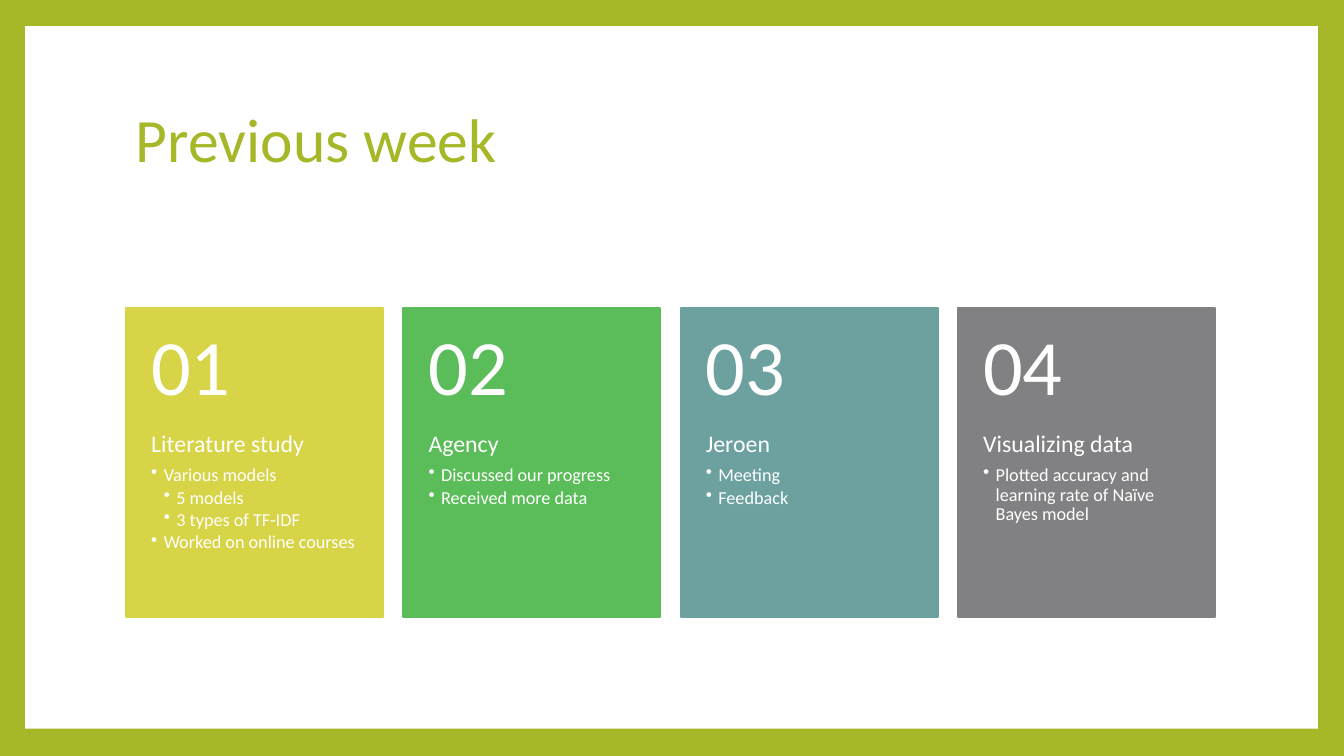
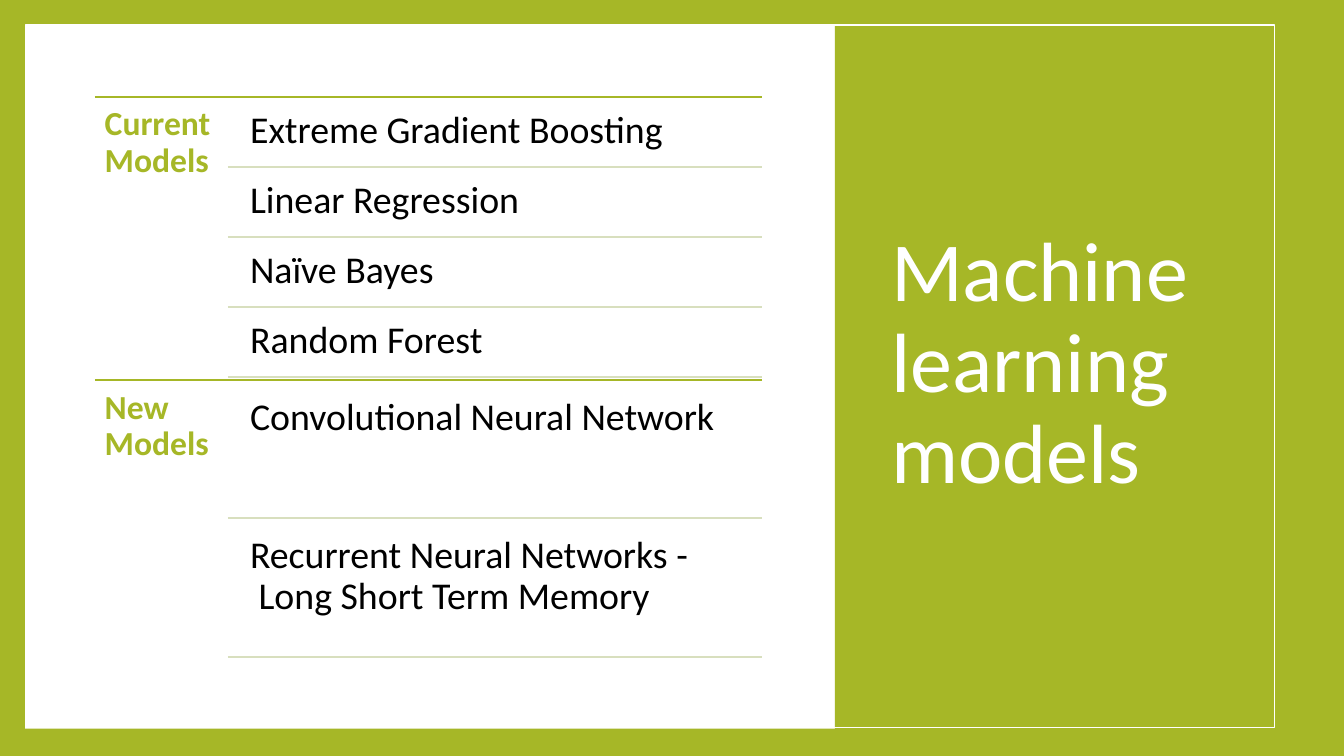
import pptx
import pptx.util
import pptx.dml.color
import pptx.enum.shapes
import pptx.enum.text
import pptx.oxml.ns
import lxml.etree

Inches = pptx.util.Inches
Pt = pptx.util.Pt
RGBColor = pptx.dml.color.RGBColor
MIDDLE = pptx.enum.text.MSO_ANCHOR.MIDDLE
TOP = pptx.enum.text.MSO_ANCHOR.TOP

# Shared look
GREEN = RGBColor(0xA6, 0xB7, 0x27)
WHITE = RGBColor(0xFF, 0xFF, 0xFF)
BLACK = RGBColor(0x00, 0x00, 0x00)
YELLOW = RGBColor(0xD7, 0xD4, 0x47)
LEAF = RGBColor(0x5A, 0xBD, 0x59)
TEAL = RGBColor(0x6C, 0xA1, 0xA0)
GREY = RGBColor(0x81, 0x81, 0x83)
PALE_GREEN = RGBColor(0xD8, 0xDF, 0xBE)
FONT = "Calibri"
WIDTH, HEIGHT = 13.33, 7.5
FRAME = (0.25, 0.26, 12.82, 6.97)
TITLE_INSETS = (0.1, 0.05, 0.1, 0.05)
BULLET_INDENT = 0.125


def add_box(slide, box, fill=None, line=None, line_width=1.5):
    shape = slide.shapes.add_shape(
        pptx.enum.shapes.MSO_SHAPE.RECTANGLE, *map(Inches, box))
    shape.shadow.inherit = False
    for part, color in ((shape.fill, fill), (shape.line.fill, line)):
        if color is None:
            part.background()
        else:
            part.solid()
            part.fore_color.rgb = color
    if line is not None:
        shape.line.width = Pt(line_width)


def add_text(slide, box, paragraphs, color, insets, anchor=TOP, bold=False):
    """Each paragraph is (text, size, space after as a share of size, bullet level)."""
    frame = slide.shapes.add_textbox(*map(Inches, box)).text_frame
    frame.word_wrap = True
    frame.vertical_anchor = anchor
    (frame.margin_left, frame.margin_top,
     frame.margin_right, frame.margin_bottom) = map(Inches, insets)
    for index, (text, size, after, level) in enumerate(paragraphs):
        paragraph = frame.add_paragraph() if index else frame.paragraphs[0]
        paragraph.line_spacing = 0.9
        paragraph.space_after = Pt(size * after)
        run = paragraph.add_run()
        run.text = text
        run.font.name = FONT
        run.font.size = Pt(size)
        run.font.bold = bold
        run.font.color.rgb = color
        if level:
            paragraph.level = level
            properties = paragraph._p.get_or_add_pPr()
            properties.set("marL", str(Inches(BULLET_INDENT * level)))
            properties.set("indent", str(-Inches(BULLET_INDENT)))
            bullet = lxml.etree.SubElement(properties, pptx.oxml.ns.qn("a:buChar"))
            bullet.set("char", "•")


presentation = pptx.Presentation()
presentation.slide_width = Inches(WIDTH)
presentation.slide_height = Inches(HEIGHT)

# Both slides: green ground with a white panel
slides = []
for number in range(2):
    slide = presentation.slides.add_slide(presentation.slide_layouts[6])
    slide.background.fill.solid()
    slide.background.fill.fore_color.rgb = GREEN
    add_box(slide, FRAME, fill=WHITE)
    slides.append(slide)
week_slide, models_slide = slides

# Slide 1: title and four numbered cards
add_text(week_slide, (1.25, 0.67, 10.8, 1.48),
         [("Previous week", 44, 0, 0)], GREEN, TITLE_INSETS, MIDDLE)

CARD_LEFT, CARD_TOP, CARD_PITCH = 1.25, 3.06, 2.75
CARD_WIDTH, CARD_HEIGHT = 2.55, 3.06
NUMBER_HEIGHT = CARD_HEIGHT * 0.4
cards = [
    (YELLOW, "Literature study", [
        (1, "Various models"), (2, "5 models"), (2, "3 types of TF-IDF"),
        (1, "Worked on online courses")]),
    (LEAF, "Agency", [
        (1, "Discussed our progress"), (1, "Received more data")]),
    (TEAL, "Jeroen", [(1, "Meeting"), (1, "Feedback")]),
    (GREY, "Visualizing data", [
        (1, "Plotted accuracy and learning rate of Naïve Bayes model")]),
]
for index, (color, heading, points) in enumerate(cards):
    left = CARD_LEFT + index * CARD_PITCH
    add_box(week_slide, (left, CARD_TOP, CARD_WIDTH, CARD_HEIGHT), color, color)
    add_text(week_slide,
             (left, CARD_TOP + NUMBER_HEIGHT, CARD_WIDTH, CARD_HEIGHT - NUMBER_HEIGHT),
             [(heading, 17, 0.35, 0)]
             + [(text, 13, 0.15, level) for level, text in points],
             WHITE, (0.25, 0, 0.25, 0.36))
    add_text(week_slide, (left, CARD_TOP, CARD_WIDTH, NUMBER_HEIGHT),
             [(f"{index + 1:02d}", 56, 0.35, 0)],
             WHITE, (0.25, 0.18, 0.25, 0.18), MIDDLE)

# Slide 2: green side panel with title
PANEL_LEFT = 8.28
add_box(models_slide, (PANEL_LEFT, 0, WIDTH - PANEL_LEFT, HEIGHT), fill=GREEN)
add_text(models_slide, (8.74, 0.67, 3.91, 5.91),
         [("Machine learning models", 60, 0, 0)], WHITE, TITLE_INSETS, MIDDLE)

# Two sections of equal height; gaps are a fixed share of the row height
LIST_LEFT, LIST_RIGHT, LIST_TOP = 0.94, 7.56, 0.96
LABEL_WIDTH, SECTION_HEIGHT, GAP_SHARE = 1.32, 2.81, 0.05
ROW_LEFT = 2.37
sections = [
    ("Current Models", ["Extreme Gradient Boosting", "Linear Regression",
                        "Naïve Bayes", "Random Forest"]),
    ("New Models", ["Convolutional Neural Network",
                    "Recurrent Neural Networks -\u00a0Long Short Term Memory"]),
]
rules = []
for index, (label, models) in enumerate(sections):
    top = LIST_TOP + index * SECTION_HEIGHT
    count = len(models)
    row_height = SECTION_HEIGHT / (count + (count + 1) * GAP_SHARE)
    pitch = row_height * (1 + GAP_SHARE)
    rules.append((LIST_LEFT, top, GREEN))
    add_text(models_slide, (LIST_LEFT, top, LABEL_WIDTH, SECTION_HEIGHT),
             [(label, 24, 0.35, 0)], GREEN, (0.1,) * 4, bold=True)
    for row, model in enumerate(models):
        row_top = top + row_height * GAP_SHARE + row * pitch
        add_text(models_slide, (ROW_LEFT, row_top, LIST_RIGHT - ROW_LEFT, row_height),
                 [(model, 27, 0.35, 0)], BLACK, (0.11,) * 4)
        rules.append((LIST_LEFT + LABEL_WIDTH, row_top + row_height, PALE_GREEN))

# Rules between the rows
for left, top, color in rules:
    connector = models_slide.shapes.add_connector(
        pptx.enum.shapes.MSO_CONNECTOR.STRAIGHT,
        Inches(left), Inches(top), Inches(LIST_RIGHT), Inches(top))
    connector.line.color.rgb = color
    connector.line.width = Pt(1.5)
    lxml.etree.SubElement(connector._element.spPr, pptx.oxml.ns.qn("a:effectLst"))

# Thin white outline over the panels
add_box(models_slide, (0.25, 0.25, 12.39, 6.97), line=WHITE, line_width=1)

presentation.save("out.pptx")
